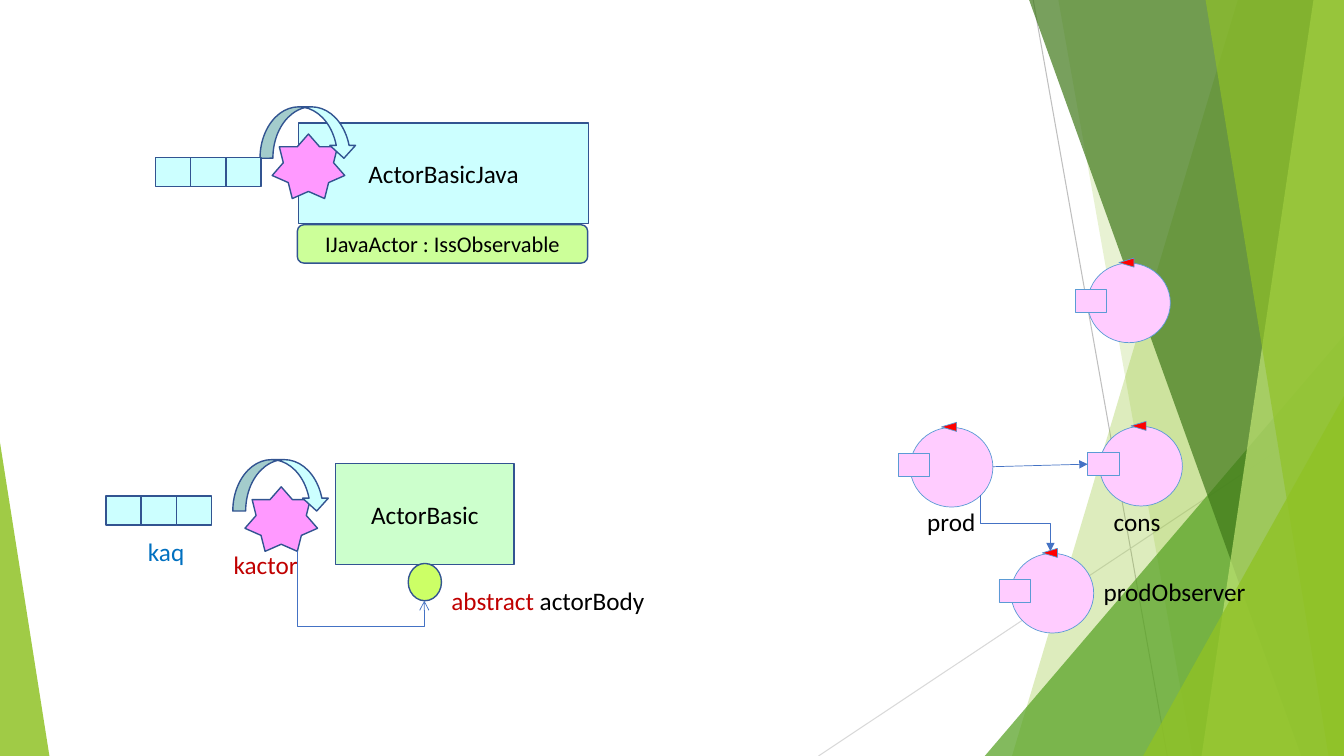
from dataclasses import dataclass

from lxml.etree import SubElement
from pptx import Presentation
from pptx.dml.color import RGBColor
from pptx.enum.shapes import MSO_CONNECTOR, MSO_SHAPE
from pptx.enum.text import MSO_ANCHOR, MSO_AUTO_SIZE, PP_ALIGN
from pptx.oxml.ns import qn
from pptx.shapes.autoshape import Shape
from pptx.shapes.connector import Connector
from pptx.util import Emu, Inches, Pt

# Grid: square cells of a tenth of an inch
CELL = Inches(0.1)
COLUMNS, ROWS = 133.33, 75

FONT = "Calibri"
BLACK, RED = "000000", "C00000"
NAVY, BLUE, SKY = "325491", "4472C4", "5B9BD5"
CYAN, PINK, PALE_PINK = "CCFFFF", "FF99FF", "FFCCFF"

Point = tuple[float, float]


@dataclass
class Facet:
    points: list[Point]
    fill: str
    opacity: int


@dataclass
class Panel:
    kind: MSO_SHAPE
    column: float
    row: float
    width: float
    height: float
    fill: str
    text: str = ""
    size: int = 18


@dataclass
class Label:
    column: float
    row: float
    width: float
    runs: list[tuple[str, str]]


FACETS = [
    Facet([(122.8, 0), (COLUMNS, 0), (COLUMNS, ROWS), (100.4, ROWS)], "90C226", 30),
    Facet([(105, 0), (COLUMNS, 0), (COLUMNS, ROWS), (118.3, ROWS)], "90C226", 20),
    Facet([(97.7, ROWS), (COLUMNS, 33.3), (COLUMNS, ROWS)], "54A021", 72),
    Facet([(102.1, 0), (COLUMNS, 0), (COLUMNS, ROWS), (129.1, ROWS)], "3F7819", 70),
    Facet([(130.3, 0), (COLUMNS, 0), (COLUMNS, ROWS), (119.2, ROWS)], "C0E474", 70),
    Facet([(119.6, 0), (COLUMNS, 0), (COLUMNS, ROWS), (131.8, ROWS)], "90C226", 65),
    Facet([(113.4, ROWS), (COLUMNS, 39.3), (COLUMNS, ROWS)], "90C226", 80),
    Facet([(0, ROWS), (0, 43.9), (4.9, ROWS)], "90C226", 85),
]
PANELS = [
    Panel(MSO_SHAPE.RECTANGLE, 29.6, 12.2, 28.8, 10, CYAN, "ActorBasicJava"),
    Panel(MSO_SHAPE.ROUNDED_RECTANGLE, 29.5, 22.3, 28.8, 3.8, "CCFF99",
          "IJavaActor : IssObservable", 16),
    Panel(MSO_SHAPE.RECTANGLE, 33.3, 46, 17.7, 10, "CCFFCC", "ActorBasic"),
    Panel(MSO_SHAPE.OVAL, 40.5, 55.9, 3.3, 3.7, "CCFF66"),
]
LABELS = [
    Label(13.7, 52.7, 5.7, [("kaq", "0070C0")]),
    Label(22.2, 54, 8.6, [("kactor", RED)]),
    Label(43.8, 57.6, 21.3, [("abstract ", RED), ("actorBody", BLACK)]),
    Label(91, 49.7, 6.9, [("prod", BLACK)]),
    Label(109.5, 49.7, 6.7, [("cons", BLACK)]),
    Label(108.5, 56.7, 16.2, [("prodObserver", BLACK)]),
]
EVENT_LOOPS: list[Point] = [(27, 13.3), (24.3, 48.3)]
QUEUES: list[Point] = [(15.4, 15.6), (10.5, 49.2)]

presentation = Presentation()
presentation.slide_width = Emu(round(COLUMNS * CELL))
presentation.slide_height = Emu(ROWS * CELL)
slide = presentation.slides.add_slide(presentation.slide_layouts[6])
shapes = slide.shapes


def grid(cells: float) -> Emu:
    return Emu(round(cells * CELL))


def colour(value: str) -> RGBColor:
    return RGBColor.from_string(value)


def add_block(kind: MSO_SHAPE, column: float, row: float, width: float, height: float,
              fill: str, line: str = NAVY, weight: float = 1) -> Shape:
    shape = shapes.add_shape(kind, grid(column), grid(row), grid(width), grid(height))
    shape.shadow.inherit = False
    shape.fill.solid()
    shape.fill.fore_color.rgb = colour(fill)
    shape.line.color.rgb = colour(line)
    shape.line.width = Pt(weight)
    return shape


def add_facet(facet: Facet) -> None:
    points = [(grid(column), grid(row)) for column, row in facet.points]
    builder = shapes.build_freeform(*points[0])
    builder.add_line_segments(points[1:])
    shape = builder.convert_to_shape()
    shape.shadow.inherit = False
    shape.line.fill.background()
    shape.fill.solid()
    shape.fill.fore_color.rgb = colour(facet.fill)
    value = shape.fill._xPr.find(qn("a:solidFill"))[0]
    SubElement(value, qn("a:alpha"), val=str(facet.opacity * 1000))


def format_run(run, size: int, value: str) -> None:
    run.font.name = FONT
    run.font.size = Pt(size)
    run.font.color.rgb = colour(value)


def add_panel(panel: Panel) -> None:
    shape = add_block(panel.kind, panel.column, panel.row, panel.width, panel.height, panel.fill)
    if panel.text:
        shape.text_frame.text = panel.text
        shape.text_frame.vertical_anchor = MSO_ANCHOR.MIDDLE
        paragraph = shape.text_frame.paragraphs[0]
        paragraph.alignment = PP_ALIGN.CENTER
        format_run(paragraph.runs[0], panel.size, BLACK)


def add_label(label: Label) -> None:
    box = shapes.add_textbox(grid(label.column), grid(label.row), grid(label.width), grid(4))
    box.text_frame.word_wrap = False
    box.text_frame.auto_size = MSO_AUTO_SIZE.SHAPE_TO_FIT_TEXT
    for text, value in label.runs:
        run = box.text_frame.paragraphs[0].add_run()
        run.text = text
        format_run(run, 18, value)


def add_line(start: Point, end: Point, line: str, weight: float, head: str = "",
             kind: MSO_CONNECTOR = MSO_CONNECTOR.STRAIGHT) -> Connector:
    connector = shapes.add_connector(kind, *map(grid, start + end))
    connector.line.color.rgb = colour(line)
    connector.line.width = Pt(weight)
    if head:
        SubElement(connector.line._get_or_add_ln(), qn("a:tailEnd"), type=head)
    SubElement(connector._element.spPr, qn("a:effectLst"))
    return connector


def add_bent_arrow(start: Point, end: Point, bend: float, head: str) -> None:
    """Leave downwards, turn at the share `bend` of the drop, and arrive vertically."""
    middle_column, middle_row = (start[0] + end[0]) / 2, (start[1] + end[1]) / 2
    half_run, half_drop = (end[0] - start[0]) / 2, (end[1] - start[1]) / 2
    # A quarter turn swaps the run and the drop around the middle
    connector = add_line((middle_column + half_drop, middle_row - half_run),
                         (middle_column - half_drop, middle_row + half_run),
                         BLUE, 0.5, head, MSO_CONNECTOR.ELBOW)
    properties = connector._element.spPr
    properties.find(qn("a:xfrm")).set("rot", str(270 * 60000))
    adjustments = properties.find(qn("a:prstGeom")).find(qn("a:avLst"))
    SubElement(adjustments, qn("a:gd"), name="adj1", fmla=f"val {round(bend * 100000)}")


def add_event_loop(column: float, row: float) -> None:
    add_block(MSO_SHAPE.STAR_7_POINT, column, row, 7.2, 6.4, PINK)
    add_block(MSO_SHAPE.CURVED_DOWN_ARROW, column - 1.2, row - 2.7, 9.6, 5.1, CYAN)


def add_queue(column: float, row: float) -> None:
    for place in range(3):
        add_block(MSO_SHAPE.RECTANGLE, column + place * 3.5, row, 3.5, 2.9, CYAN)


def add_actor(column: float, row: float) -> Shape:
    """Draw an actor and return its port."""
    add_block(MSO_SHAPE.OVAL, column, row, 8.2, 7.9, PALE_PINK, SKY, 0.5)
    port = add_block(MSO_SHAPE.RECTANGLE, column - 1.2, row + 2.6, 3.1, 2.3, PALE_PINK, SKY, 0.5)
    marker = add_block(MSO_SHAPE.ISOSCELES_TRIANGLE, column + 3.4, row - 0.8, 0.9, 1.5,
                       "FF0000", SKY, 0.5)
    marker.rotation = 270
    return port


# Background
add_line((102.5, 0), (115.8, ROWS), "BFBFBF", 0.75)
add_line((COLUMNS, 40.3), (81.2, ROWS), "D9D9D9", 0.75)
for facet in FACETS:
    add_facet(facet)

# Actor classes with their event loops and queues
for panel in PANELS:
    add_panel(panel)
for loop in EVENT_LOOPS:
    add_event_loop(*loop)
for queue in QUEUES:
    add_queue(*queue)
add_bent_arrow((29.5, 54.7), (42.1, 59.6), 1.51, "arrow")

# Producer, consumer and observer
add_actor(107.9, 26.1)
add_actor(90.3, 42.4)
consumer_port = add_actor(109.1, 42.3)
add_actor(100.3, 54.9)
message = add_line((98.5, 46.3), (107.8, 46.1), BLUE, 0.5, "triangle")
message.end_connect(consumer_port, 1)
add_bent_arrow((97.3, 49.1), (104.2, 54.7), 0.5, "triangle")

# Labels
for label in LABELS:
    add_label(label)

presentation.save("out.pptx")
